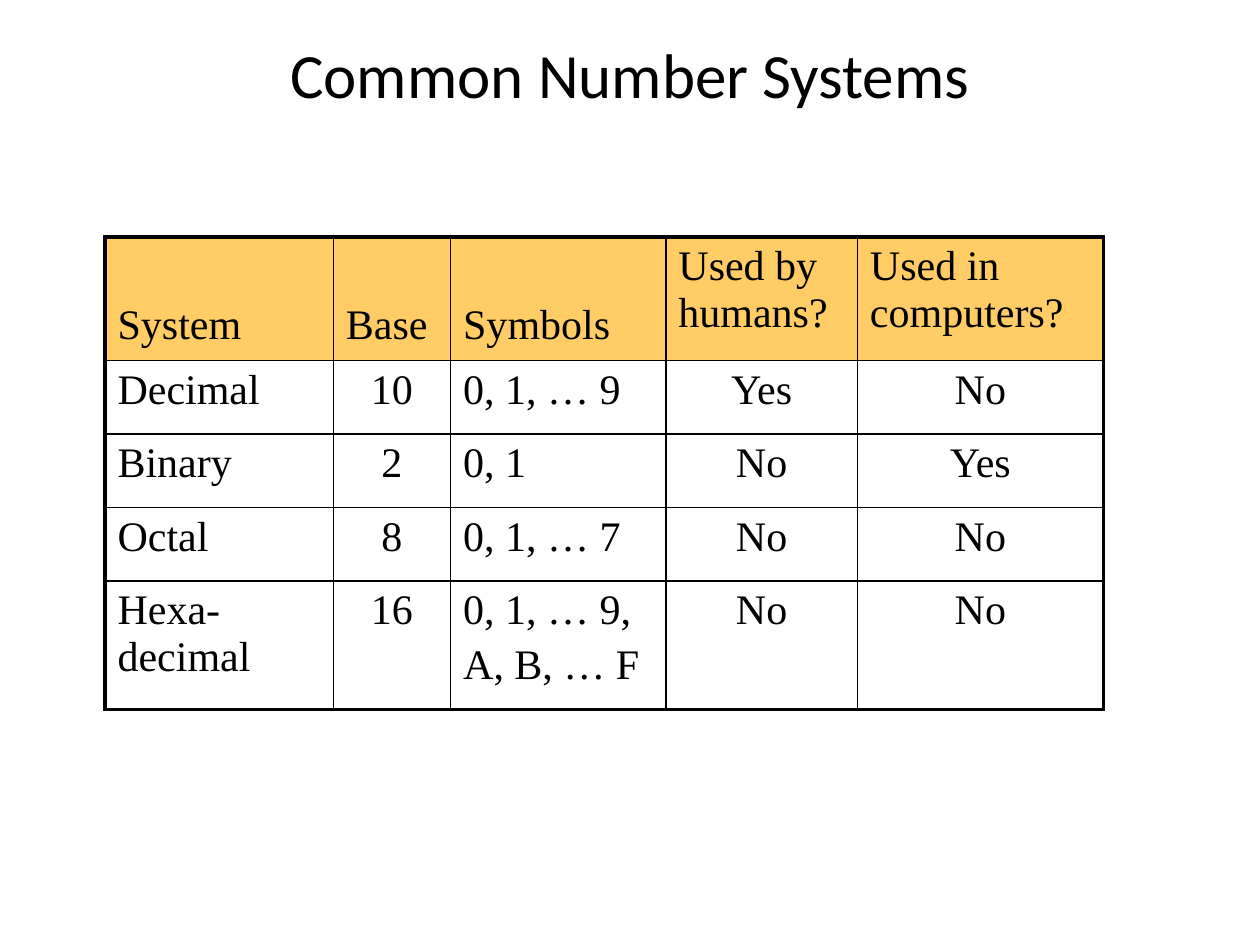
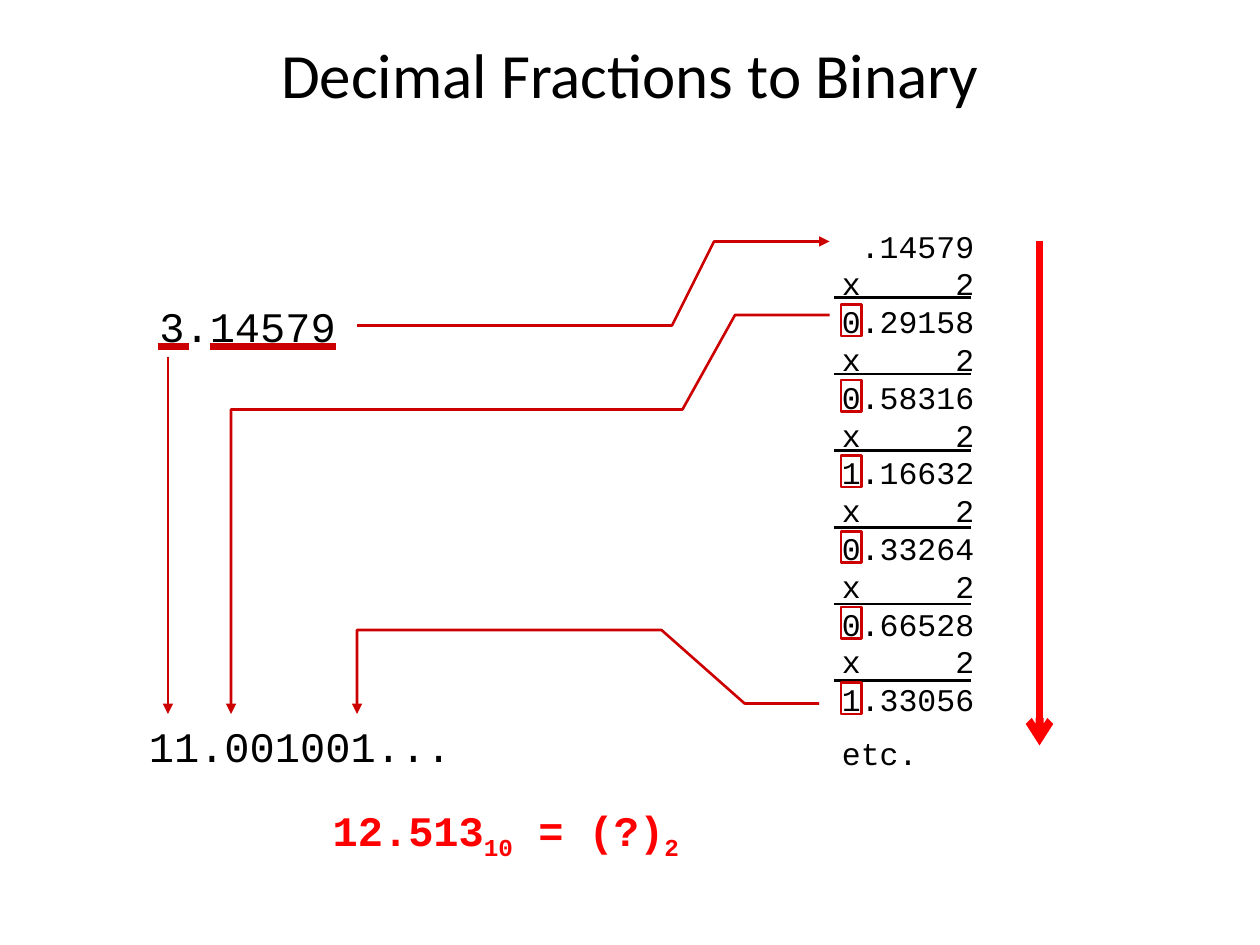
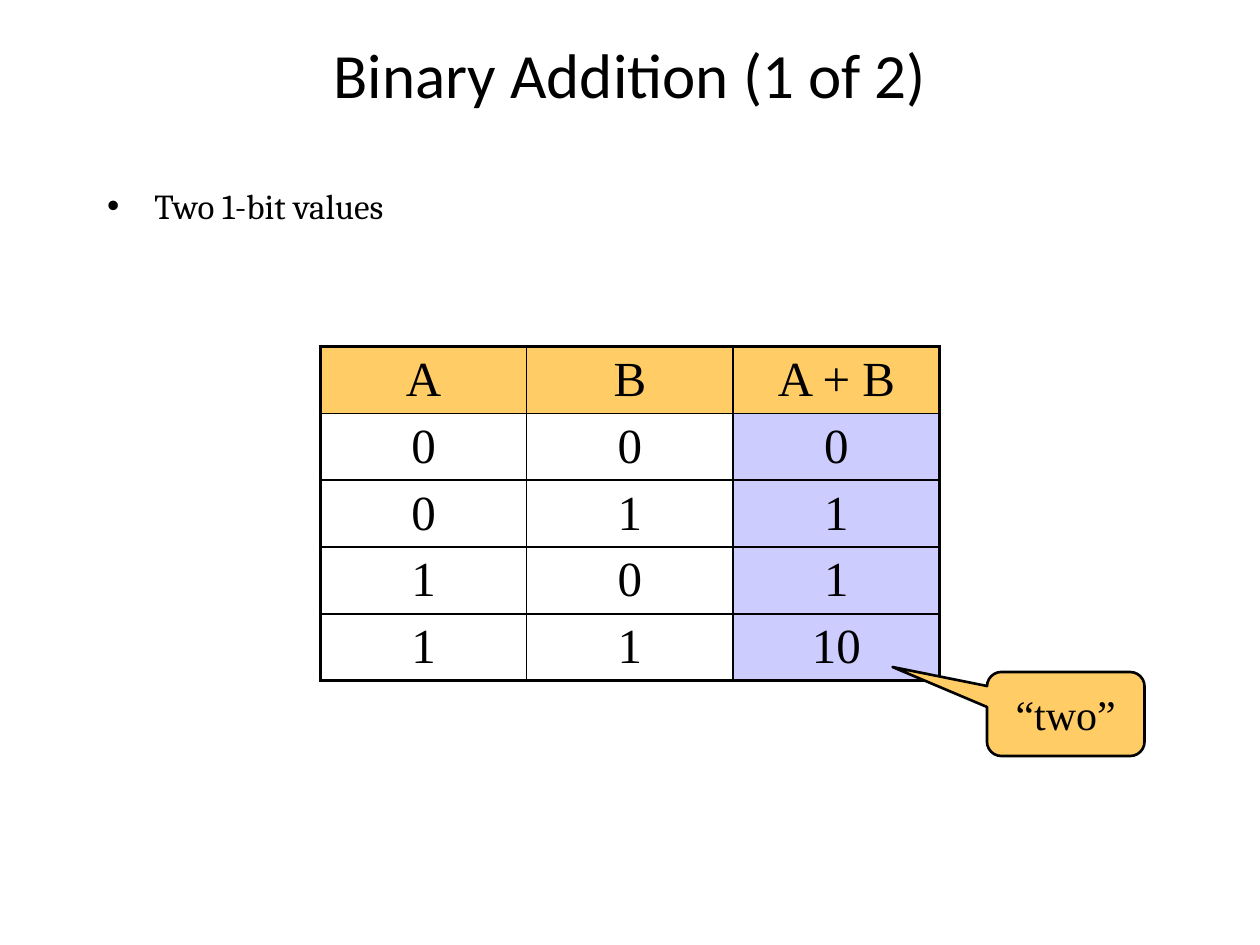
"""Build three slides on number systems and binary arithmetic."""
from lxml.etree import SubElement
from pptx import Presentation
from pptx.dml.color import RGBColor
from pptx.enum.shapes import MSO_CONNECTOR, MSO_SHAPE
from pptx.enum.text import MSO_ANCHOR, MSO_AUTO_SIZE, PP_ALIGN
from pptx.oxml.ns import qn
from pptx.util import Pt

BLACK, RED, DARK_RED = "000000", "FF0000", "CC0000"
AMBER, LILAC = "FFCC66", "CCCCFF"
SANS, BODY, SERIF, MONO = "Calibri", "Cambria", "Times New Roman", "Courier New"
ALIGN = {"l": PP_ALIGN.LEFT, "c": PP_ALIGN.CENTER}
TITLE_ONLY, TITLE_AND_BODY = 5, 1


def rgb(value):
    """Turn a hex string into a colour."""
    return RGBColor.from_string(value)


class Deck:
    """Hold the shared style and the current slide."""

    def __init__(self):
        """Start an empty 4:3 presentation."""
        self.presentation = Presentation()
        self.presentation.slide_width = Pt(720)
        self.presentation.slide_height = Pt(540)
        self.slide = None

    def new_slide(self, title, layout=TITLE_ONLY):
        """Add a slide and set its title."""
        layouts = self.presentation.slide_layouts
        self.slide = self.presentation.slides.add_slide(layouts[layout])
        heading = self.slide.shapes.title
        self.place(heading, 54, 12, 612, 60)
        heading.text_frame.vertical_anchor = MSO_ANCHOR.MIDDLE
        self.fill_text(heading.text_frame, title, SANS, 36, align="c")

    def place(self, shape, left, top, width, height):
        """Move and size a shape."""
        shape.left, shape.top = Pt(left), Pt(top)
        shape.width, shape.height = Pt(width), Pt(height)

    def add_run(self, paragraph, text, font, size, color=BLACK, bold=False):
        """Add one formatted run to a paragraph."""
        run = paragraph.add_run()
        run.text = text
        run.font.name, run.font.size, run.font.bold = font, Pt(size), bold
        run.font.color.rgb = rgb(color)
        return run

    def fill_text(self, frame, text, font, size, align="l", gap=0):
        """Fill a frame, with \\n between paragraphs and \\v between lines."""
        for number, content in enumerate(text.split("\n")):
            paragraph = frame.add_paragraph() if number else frame.paragraphs[0]
            paragraph.alignment = ALIGN[align]
            paragraph.space_before = Pt(gap if number else 0)
            for index, line in enumerate(content.split("\v")):
                if index:
                    paragraph.add_line_break()
                self.add_run(paragraph, line, font, size)

    def bullets(self, text):
        """Fill the body placeholder with a bulleted list."""
        body = self.slide.placeholders[1]
        self.place(body, 54, 102, 612, 324)
        self.fill_text(body.text_frame, text, BODY, 20, gap=4)
        for paragraph in body.text_frame.paragraphs:
            properties = paragraph._p.get_or_add_pPr()
            properties.set("marL", str(Pt(27)))
            properties.set("indent", str(Pt(-27)))
            SubElement(properties, qn("a:buChar")).set("char", "•")

    def text(self, left, top, width, height, content="", size=24, wrap=True):
        """Add a monospaced text box that grows with its text."""
        box = self.slide.shapes.add_textbox(Pt(left), Pt(top), Pt(width), Pt(height))
        frame = box.text_frame
        frame.word_wrap = wrap
        frame.auto_size = MSO_AUTO_SIZE.SHAPE_TO_FIT_TEXT
        if content:
            self.fill_text(frame, content, MONO, size, gap=size / 2)
        return frame

    def outline(self, shape, color, width, arrow=None):
        """Set a line's colour and width, and an arrowhead at its end."""
        shape.line.color.rgb = rgb(color)
        shape.line.width = Pt(width)
        if arrow:
            SubElement(shape.line._get_or_add_ln(), qn("a:tailEnd")).set("type", arrow)

    def line(self, start, end, color, width=1.5, arrow=None):
        """Draw a straight line."""
        connector = self.slide.shapes.add_connector(
            MSO_CONNECTOR.STRAIGHT, *map(Pt, start + end))
        self.outline(connector, color, width, arrow)
        SubElement(connector._element.spPr, qn("a:effectLst"))

    def bent_arrow(self, *points):
        """Draw an open path that ends in an arrowhead."""
        start, *rest = [(Pt(x), Pt(y)) for x, y in points]
        builder = self.slide.shapes.build_freeform(*start)
        builder.add_line_segments(rest, close=False)
        route = builder.convert_to_shape()
        route.shadow.inherit = False
        route.fill.background()
        self.outline(route, DARK_RED, 1.5, "triangle")

    def shape(self, preset, left, top, width, height, color, fill=None):
        """Add a preset shape, filled or open."""
        shape = self.slide.shapes.add_shape(
            preset, Pt(left), Pt(top), Pt(width), Pt(height))
        shape.shadow.inherit = False
        self.paint(shape, fill)
        self.outline(shape, color, 1.5)
        return shape

    def paint(self, target, color):
        """Fill a shape or cell, or leave it clear."""
        if color:
            target.fill.solid()
            target.fill.fore_color.rgb = rgb(color)
        else:
            target.fill.background()

    def border(self, cell, sides):
        """Draw a cell's borders, heavy on the table's outer edge."""
        properties = cell._tc.get_or_add_tcPr()
        for side, outer in sides.items():
            edge = SubElement(properties, qn(f"a:ln{side}"))
            edge.set("w", str(Pt(2.25 if outer else 1)))
            fill = SubElement(edge, qn("a:solidFill"))
            SubElement(fill, qn("a:srgbClr")).set("val", BLACK)

    def table(self, left, top, widths, heights, rows, size, header_align,
              body_align, column_fills=None):
        """Add a table with an amber header and a heavy frame."""
        column_fills = column_fills or {}
        table = self.slide.shapes.add_table(
            len(rows), len(widths), Pt(left), Pt(top),
            Pt(sum(widths)), Pt(sum(heights))).table
        table.first_row = table.horz_banding = False
        for column, width in zip(table.columns, widths):
            column.width = Pt(width)
        last_row, last_column = len(rows) - 1, len(widths) - 1
        for r, values in enumerate(rows):
            table.rows[r].height = Pt(heights[r])
            for c, value in enumerate(values):
                cell = table.cell(r, c)
                cell.margin_bottom = Pt(2)
                self.border(cell, {"L": c == 0, "R": c == last_column,
                                   "T": r == 0, "B": r == last_row})
                self.paint(cell, column_fills.get(c) if r else AMBER)
                align = (body_align if r else header_align)[c]
                self.fill_text(cell.text_frame, value, SERIF, size, align, size / 5)
        return table


def number_systems(deck):
    """Compare the common number systems."""
    deck.new_slide("Common Number Systems")
    systems = deck.table(
        60, 135.5, [130.5, 67, 123, 109.5, 140.5], [70.5, 42, 42, 42, 73.5],
        [["System", "Base", "Symbols", "Used by humans?", "Used in computers?"],
         ["Decimal", "10", "0, 1, … 9", "Yes", "No"],
         ["Binary", "2", "0, 1", "No", "Yes"],
         ["Octal", "8", "0, 1, … 7", "No", "No"],
         ["Hexa-\vdecimal", "16", "0, 1, … 9,\nA, B, … F", "No", "No"]],
        24, "lllll", "lclcc")
    for column in range(3):
        short_header = systems.cell(0, column)
        short_header.vertical_anchor = MSO_ANCHOR.BOTTOM
        short_header.margin_bottom = Pt(7)


def decimal_fractions(deck):
    """Show repeated doubling of a decimal fraction."""
    deck.new_slide("Decimal Fractions to Binary")
    deck.text(84, 168, 117, 36, "3.14579")

    products = ["0.29158", "0.58316", "1.16632", "0.33264", "0.66528", "1.33056"]
    steps = ["\t.14579"] + [f"x\t2\v{product}" for product in products]
    doubling = deck.text(474, 126, 117, 321, "\v".join(steps) + "\netc.", 18)
    tabs = SubElement(doubling.paragraphs[0]._p.get_or_add_pPr(), qn("a:tabLst"))
    tab = SubElement(tabs, qn("a:tab"))
    tab.set("pos", str(Pt(75.6)))
    tab.set("algn", "r")
    for step in range(len(products)):
        rule_y = 170 + 43.8 * step
        deck.line((476.5, rule_y), (555, rule_y), BLACK)
        deck.shape(MSO_SHAPE.RECTANGLE, 480.5, 174 + 43.2 * step, 12, 18, DARK_RED)

    for start, end in ((120, 192), (90, 108)):
        deck.line((start, 198), (end, 198), DARK_RED, 4.5)
    deck.text(78, 408, 210, 36, "11.001001...")
    deck.line((96, 204), (96, 408), DARK_RED, arrow="triangle")
    deck.bent_arrow((204, 186), (384, 186), (408, 138), (474, 138))
    deck.bent_arrow((474, 180), (420, 180), (390, 234), (132, 234), (132, 408))
    deck.bent_arrow((468, 402), (425.5, 402), (378, 360), (204, 360), (204, 408))
    deck.line((594, 138), (594, 426), RED, 4.5, "arrow")

    question = deck.text(180, 456, 218, 36, wrap=False).paragraphs[0]
    question.alignment = PP_ALIGN.CENTER
    for part, subscript in (("12.513", "10"), (" = (?)", "2")):
        deck.add_run(question, part, MONO, 24, RED, True)
        base = deck.add_run(question, subscript, MONO, 24, RED, True)
        base._r.get_or_add_rPr().set("baseline", "-25000")


def binary_addition(deck):
    """Tabulate the sum of two bits."""
    deck.new_slide("Binary Addition (1 of 2)", TITLE_AND_BODY)
    deck.bullets("Two 1-bit values")
    sums = [[str(a), str(b), f"{a + b:b}"] for a in (0, 1) for b in (0, 1)]
    deck.table(183, 198, [118] * 3, [38.2] * 5, [["A", "B", "A + B"]] + sums,
               28, "ccc", "ccc", {2: LILAC})
    callout = deck.shape(MSO_SHAPE.ROUNDED_RECTANGULAR_CALLOUT,
                         564, 384, 90, 48, BLACK, AMBER)
    for index, value in enumerate((-1.1, -0.56, 0.17)):
        callout.adjustments[index] = value
    callout.text_frame.vertical_anchor = MSO_ANCHOR.MIDDLE
    deck.fill_text(callout.text_frame, "“two”", SERIF, 24, align="c")


def main():
    """Build and save the deck."""
    deck = Deck()
    number_systems(deck)
    decimal_fractions(deck)
    binary_addition(deck)
    deck.presentation.save("out.pptx")


if __name__ == "__main__":
    main()
